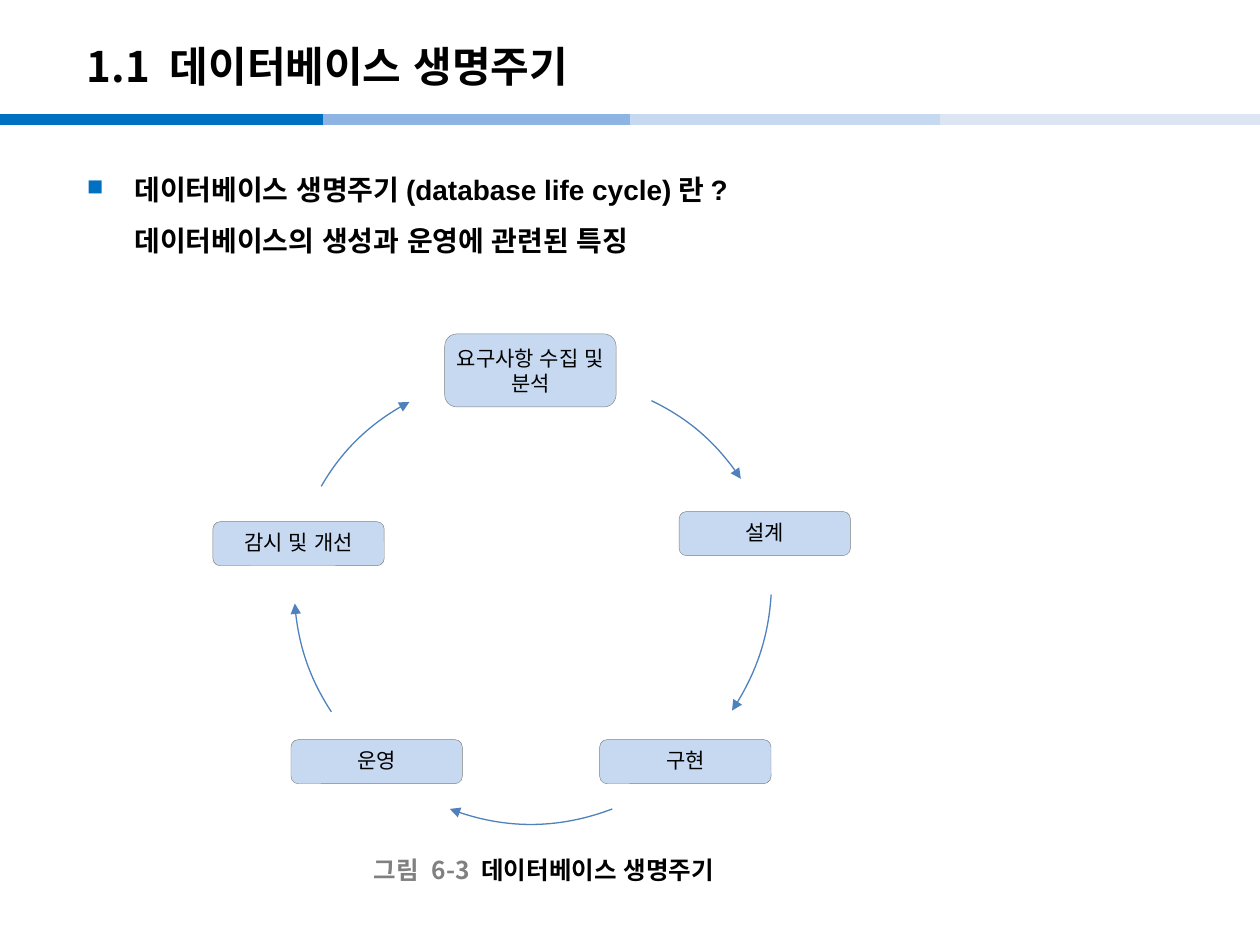
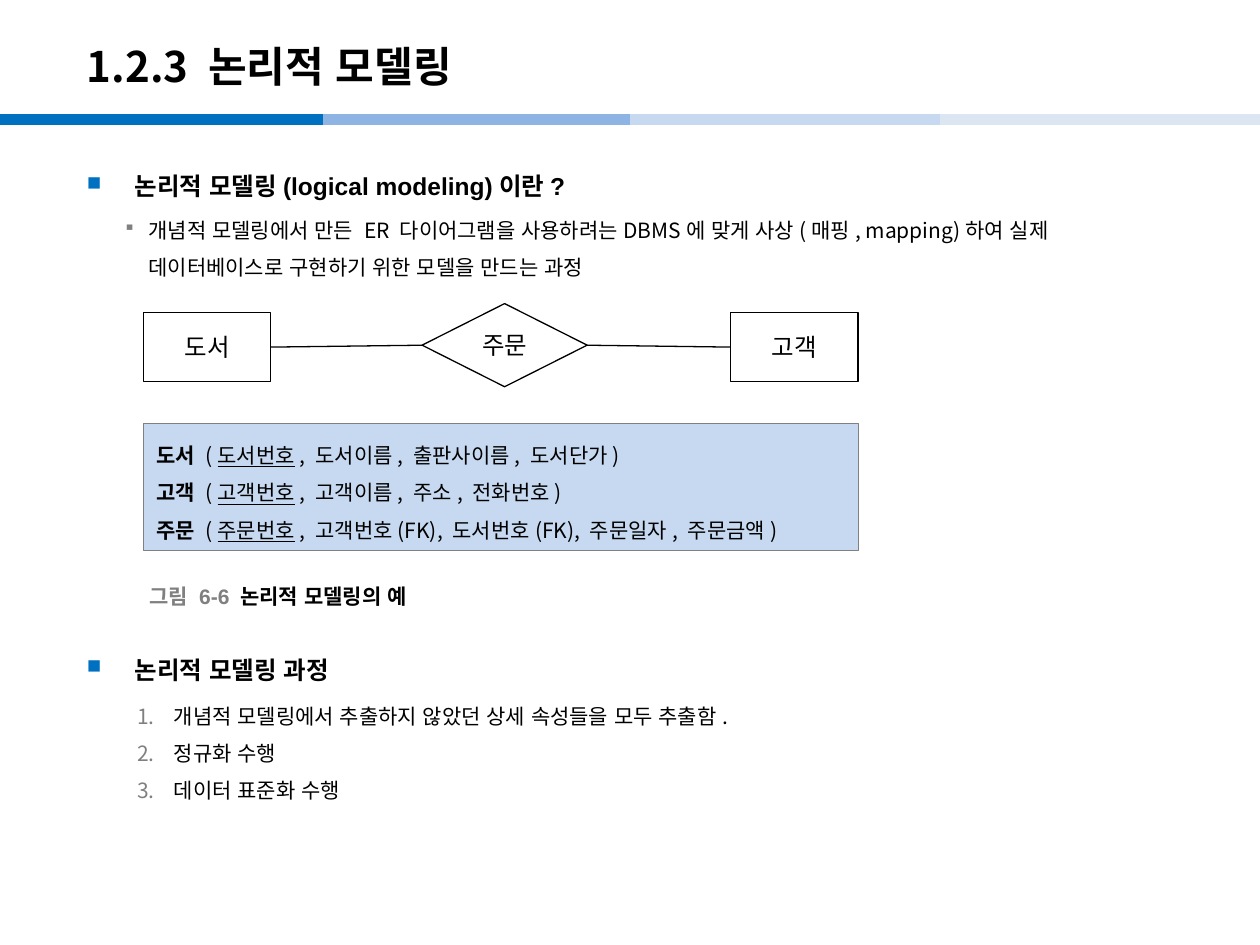
from dataclasses import dataclass
from lxml.etree import SubElement as Sub
from pptx import Presentation
from pptx.dml.color import RGBColor as RGB
from pptx.enum.shapes import MSO_CONNECTOR as Link, MSO_SHAPE as Form, MSO_SHAPE_TYPE as Type
from pptx.enum.text import MSO_ANCHOR as Anchor, MSO_AUTO_SIZE as Fit, PP_ALIGN as Align
from pptx.oxml.ns import qn
from pptx.util import Emu, Pt


@dataclass(frozen=True)
class Theme:
    ink: str = "000000"
    grey: str = "808080"
    blue: str = "0070C0"
    pale: str = "C6D9F1"
    arc: str = "4F81BD"
    paper: str = "FFFFFF"
    bands: tuple = ("0070C0", "8EB4E3", "C6D9F1", "DCE6F2")
    head: int = 24
    lead: int = 16
    mid: int = 14
    text: int = 12
    sans: str = "Arial"
    hangul: str = "Noto Sans CJK KR"


look = Theme()
PX = 9144


def style(runs, size, face=look.hangul, color=look.ink, bold=False):
    for run in runs:
        font = run.font
        font.size, font.name, font.bold = Pt(size), face, bold
        font.color.rgb = RGB.from_string(color)
        props = run._r.get_or_add_rPr()
        props.set("lang", "ko-KR")
        props.set("kern", "0")
        Sub(props, qn("a:ea"), typeface=look.hangul)


def bullet(par, tag, color, left, hang, scale=100, **mark):
    props = par._p.get_or_add_pPr()
    props.set("marL", str(left * PX))
    props.set("indent", str(-hang * PX))
    tint = Sub(props, qn("a:buClr"))
    Sub(tint, qn("a:srgbClr"), val=color)
    Sub(props, qn("a:buSzPct"), val=str(scale * 1000))
    Sub(props, qn(tag), **mark)


deck = Presentation()
deck.slide_width, deck.slide_height = Emu(1000 * PX), Emu(750 * PX)

slides = []
for name in ("1.1 데이터베이스 생명주기", "1.2.3 논리적 모델링"):
    slide = deck.slides.add_slide(deck.slide_layouts[5])
    slides.append(slide)
    title = slide.shapes.title
    title.left, title.top, title.width, title.height = [Emu(n * PX) for n in (59, 22, 827, 60)]
    title.text_frame.text = name
    title.text_frame.vertical_anchor = Anchor.MIDDLE
    par = title.text_frame.paragraphs[0]
    par.alignment = Align.LEFT
    style(par.runs, look.head, bold=True)
    ends = (0, 256, 500, 746, 1000)
    for start, end, color in zip(ends, ends[1:], look.bands):
        band = slide.shapes.add_connector(Link.STRAIGHT, start * PX, 95 * PX, end * PX, 95 * PX)
        band.line.color.rgb = RGB.from_string(color)
        band.line.width = Pt(6)

cycle, model = slides

heads = (
    (cycle, 119, 120, look.lead, "데이터베이스 생명주기(database life cycle)란?\n데이터베이스의 생성과 운영에 관련된 특징"),
    (model, 119, 115, look.mid, "논리적 모델링(logical modeling)이란?"),
    (model, 503, 150, look.mid, "논리적 모델링 과정"),
)
frames = []
for slide, top, high, size, words in heads:
    frame = slide.shapes.add_textbox(59 * PX, top * PX, 882 * PX, high * PX).text_frame
    frame.word_wrap = True
    par = frame.paragraphs[0]
    par.text = words
    par.line_spacing = 1.5
    style(par.runs, size, look.sans, bold=True)
    bullet(par, "a:buChar", look.blue, 38, 38, 80, char="■")
    frames.append(frame)

par = frames[1].add_paragraph()
par.text = "개념적 모델링에서 만든 ER 다이어그램을 사용하려는DBMS에 맞게 사상(매핑, mapping)하여 실제 데이터베이스로 구현하기 위한 모델을 만드는 과정"
par.line_spacing = 1.5
par.space_before, par.space_after = Pt(2.4), Pt(4)
style(par.runs, look.text)
bullet(par, "a:buChar", look.grey, 49, 20, 80, char="▪")

steps = ("개념적 모델링에서 추출하지 않았던 상세 속성들을 모두 추출함.", "정규화 수행", "데이터 표준화 수행")
for rank, step in enumerate(steps):
    par = frames[2].add_paragraph()
    par.text = step
    par.space_before, par.space_after = Pt(2.7 if rank else 11), Pt(4)
    style(par.runs, look.text)
    bullet(par, "a:buAutoNum", look.grey, 69, 29, type="arabicPeriod")

captions = (
    (cycle, (287, 675, 290, 31), look.mid, look.hangul, "그림 6-3 ", "데이터베이스 생명주기"),
    (model, (109, 450, 226, 47), look.text, look.sans, "그림 6-6 ", "논리적 모델링의 예"),
)
for slide, area, size, face, label, words in captions:
    frame = slide.shapes.add_textbox(*[n * PX for n in area]).text_frame
    frame.word_wrap = True
    frame.vertical_anchor = Anchor.MIDDLE
    par = frame.paragraphs[0]
    par.text = label
    par.add_run().text = words
    style(par.runs[:1], size, face, look.grey, True)
    style(par.runs[1:], size, face, bold=True)

stages = (
    ("요구사항 수집 및 분석", 353, 265, 58),
    ("설계", 539, 406, 35),
    ("구현", 476, 587, 35),
    ("운영", 231, 587, 35),
    ("감시 및 개선", 169, 414, 35),
)
for words, left, top, high in stages:
    node = cycle.shapes.add_shape(Form.ROUNDED_RECTANGLE, left * PX, top * PX, 136 * PX, high * PX)
    node.fill.solid()
    node.fill.fore_color.rgb = RGB.from_string(look.pale)
    node.line.color.rgb = RGB.from_string(look.grey)
    node.line.width = Pt(0.25)
    frame = node.text_frame
    frame.margin_left = frame.margin_right = frame.margin_top = frame.margin_bottom = 5 * PX
    frame.word_wrap = True
    frame.vertical_anchor = Anchor.MIDDLE
    par = frame.paragraphs[0]
    par.text = words
    par.alignment = Align.CENTER
    par.line_spacing = 1.0 if high > 35 else 0.9
    style(par.runs, look.text)

RING = 352
arcs = (
    ((264, 300), (517, 318), (546, 332), (570, 353), (588, 380)),
    ((260, 288), (612, 472), (610, 505), (599, 537), (581, 564)),
    ((245, 302), (486, 642), (444, 658), (398, 658), (357, 642)),
    ((233, 291), (263, 565), (246, 539), (236, 509), (234, 479)),
    ((231, 299), (255, 386), (271, 358), (296, 334), (325, 319)),
)
for (left, top), start, *bends in arcs:
    pen = cycle.shapes.build_freeform(*start, scale=PX)
    pen.add_line_segments(bends, close=False)
    arc = pen.convert_to_shape()
    track = arc._element.find(".//" + qn("a:path"))
    lines = track.findall(qn("a:lnTo"))
    curve = Sub(track, qn("a:cubicBezTo"))
    for line in lines:
        curve.append(line[0])
        track.remove(line)
    for dot, (x, y) in zip(track.iter(qn("a:pt")), (start, *bends)):
        dot.set("x", str(x - left))
        dot.set("y", str(y - top))
    track.set("w", str(RING))
    track.set("h", str(RING))
    arc.left, arc.top = left * PX, top * PX
    arc.width = arc.height = RING * PX
    arc.fill.background()
    arc.line.color.rgb = RGB.from_string(look.arc)
    arc.line.width = Pt(0.75)
    Sub(arc.line._get_or_add_ln(), qn("a:tailEnd"), type="triangle")

sheet = model.shapes.add_shape(Form.RECTANGLE, 114 * PX, 336 * PX, 567 * PX, 101 * PX)
sheet.fill.solid()
sheet.fill.fore_color.rgb = RGB.from_string(look.pale)
sheet.line.color.rgb = RGB.from_string(look.grey)
sheet.line.width = Pt(0.25)
frame = sheet.text_frame
frame.word_wrap = True
frame.auto_size = Fit.SHAPE_TO_FIT_TEXT
frame.vertical_anchor = Anchor.TOP
tables = (
    ("도서 ", "도서번호", ", 도서이름, 출판사이름, 도서단가)"),
    ("고객 ", "고객번호", ", 고객이름, 주소, 전화번호)"),
    ("주문 ", "주문번호", ", 고객번호(FK), 도서번호(FK), 주문일자, 주문금액)"),
)
for rank, (name, key, rest) in enumerate(tables):
    par = frame.add_paragraph() if rank else frame.paragraphs[0]
    par.text = name
    for words in ("(", key, rest):
        par.add_run().text = words
    par.alignment = Align.LEFT
    par.line_spacing = 1.5
    style(par.runs[:1], look.text, bold=True)
    style(par.runs[1:], look.text)
    par.runs[2].font.underline = True

parts = (
    ("도서", Form.RECTANGLE, (114, 248, 101, 55)),
    ("주문", Form.DIAMOND, (335, 241, 131, 66)),
    ("고객", Form.RECTANGLE, (580, 248, 101, 55)),
)
nodes = []
for words, form, area in parts:
    node = model.shapes.add_shape(form, *[n * PX for n in area])
    node.fill.solid()
    node.fill.fore_color.rgb = RGB.from_string(look.paper)
    node.line.color.rgb = RGB.from_string(look.ink)
    node.line.width = Pt(0.75)
    node.text_frame.vertical_anchor = Anchor.MIDDLE
    par = node.text_frame.paragraphs[0]
    par.text = words
    par.alignment = Align.CENTER
    style(par.runs, look.mid)
    nodes.append(node)

for first, second in zip(nodes, nodes[1:]):
    edge = model.shapes.add_connector(Link.STRAIGHT, 0, 0, 0, 0)
    edge.begin_connect(first, 3)
    edge.end_connect(second, 1)
    edge.line.color.rgb = RGB.from_string(look.ink)
    edge.line.width = Pt(0.75)

for slide in slides:
    for item in slide.shapes:
        if item.shape_type == Type.LINE:
            Sub(item._element.spPr, qn("a:effectLst"))
        else:
            item.shadow.inherit = False

deck.save("out.pptx")
